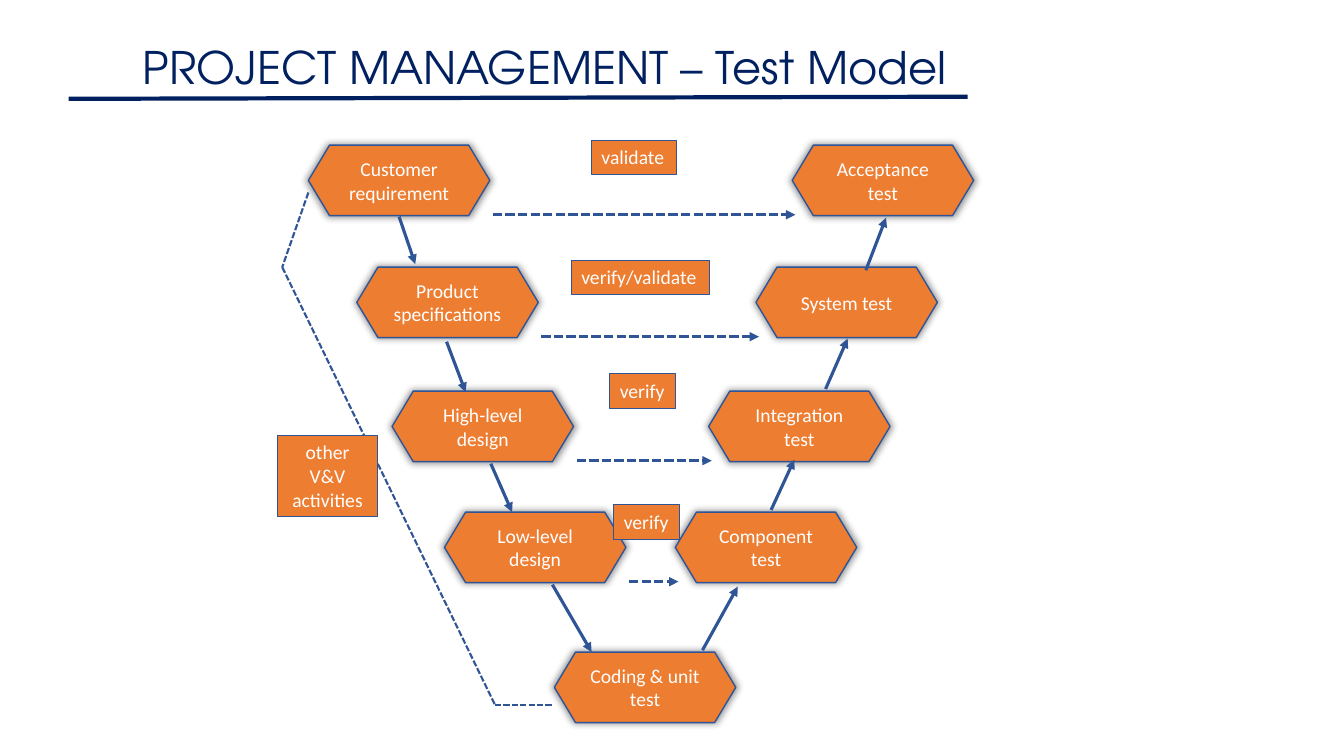
from dataclasses import dataclass
from itertools import pairwise

import pptx
import pptx.dml.color
import pptx.enum.dml
import pptx.enum.shapes
import pptx.enum.text
import pptx.oxml
import pptx.oxml.ns
import pptx.util

Pt = pptx.util.Pt
SHAPE = pptx.enum.shapes.MSO_SHAPE
ALIGN = pptx.enum.text.PP_ALIGN
ANCHOR = pptx.enum.text.MSO_ANCHOR
AUTO_SIZE = pptx.enum.text.MSO_AUTO_SIZE
DASH = pptx.enum.dml.MSO_LINE.SQUARE_DOT

NAVY, BLUE, ORANGE, WHITE = "002060", "2F5597", "ED7D31", "FFFFFF"
HEX_W, HEX_H = 129.6, 50.4
LABEL_H = 24.5
ARROW_GAP, ARROW_DROP = 2.2, 49.7

NS = 'xmlns:a="http://schemas.openxmlformats.org/drawingml/2006/main"'
GLOW = (f'<a:outerShdw {NS} blurRad="63500" sx="102000" sy="102000" algn="ctr" rotWithShape="0">'
        '<a:prstClr val="black"><a:alpha val="40000"/></a:prstClr></a:outerShdw>')

Point = tuple[float, float]


@dataclass
class Box:
    text: str
    x: float
    y: float
    w: float
    h: float


@dataclass
class Level:
    """A design stage, the test that checks it, and the label between them."""
    y: float
    stage: str
    stage_x: float
    test: str
    test_x: float
    label: Box


LEVELS = [
    Level(103.7, "Customer requirement", 220.3, "Acceptance test", 565.9,
          Box("validate", 422.6, 100.1, 60.5, LABEL_H)),
    Level(190.8, "Product specifications", 254.9, "System test", 540,
          Box("verify/validate", 408.2, 185.8, 98.6, LABEL_H)),
    Level(279.4, "High-level design", 280.1, "Integration test", 506.2,
          Box("verify", 435.6, 267.1, 46.8, LABEL_H)),
    Level(365.8, "Low-level design", 317.5, "Component test", 482.4,
          Box("verify", 438.5, 360.7, 46.8, LABEL_H)),
]
CODING = Box("Coding & unit test", 396, 465.8, HEX_W, HEX_H)
OTHER = Box("other V&V activities", 198, 311, 72, 58.3)
TITLE = Box("PROJECT MANAGEMENT – Test Model", 95, 24.5, 596.2, 46.1)

STEPS: list[tuple[Point, Point]] = [
    ((285.1, 154.8), (296.6, 188.6)),
    ((319, 244.1), (332.6, 280.1)),
    ((350.6, 331.2), (365.8, 365.8)),
    ((394.6, 417.6), (422.6, 465.8)),
    ((501.8, 464.4), (527, 419)),
    ((550.8, 364.3), (567.4, 328.3)),
    ((589.7, 277.9), (605.5, 241.9)),
    ((618.5, 193), (632.9, 155.5)),
]
BYPASS: list[Point] = [(220.3, 137.5), (201.6, 190.8), (353.5, 503.3), (394.6, 503.3)]


def rgb(value: str) -> pptx.dml.color.RGBColor:
    return pptx.dml.color.RGBColor.from_string(value)


def set_all(target, values: dict) -> None:
    for name, value in values.items():
        setattr(target, name, value)


def write(sp, text: str, frame: dict, align=ALIGN.CENTER, size: float = 14,
          font: str = "Calibri", color: str = WHITE) -> None:
    tf = sp.text_frame
    set_all(tf, frame)
    p = tf.paragraphs[0]
    p.alignment = align
    r = p.add_run()
    r.text = text
    set_all(r.font, {"size": Pt(size), "name": font})
    r.font.color.rgb = rgb(color)


def add_filled(s, kind, box: Box, line_width: float):
    sp = s.shapes.add_shape(kind, Pt(box.x), Pt(box.y), Pt(box.w), Pt(box.h))
    sp.shadow.inherit = False
    sp.fill.solid()
    sp.fill.fore_color.rgb = rgb(ORANGE)
    sp.line.color.rgb = rgb(BLUE)
    sp.line.width = Pt(line_width)
    return sp


def add_hexagon(s, box: Box) -> None:
    sp = add_filled(s, SHAPE.HEXAGON, box, 1)
    sp.adjustments[0] = 0.3
    effects = sp._element.spPr.find(pptx.oxml.ns.qn("a:effectLst"))
    effects.append(pptx.oxml.parse_xml(GLOW))
    write(sp, box.text, {"word_wrap": True, "vertical_anchor": ANCHOR.MIDDLE})


def add_label(s, box: Box, wrap: bool = False) -> None:
    sp = add_filled(s, SHAPE.RECTANGLE, box, 0.75)
    frame = {"word_wrap": wrap, "auto_size": AUTO_SIZE.SHAPE_TO_FIT_TEXT,
             "vertical_anchor": ANCHOR.TOP}
    write(sp, box.text, frame, ALIGN.CENTER if wrap else ALIGN.LEFT)


def add_line(s, start: Point, end: Point, width: float = 2.25, color: str = BLUE,
             dashed: bool = False, arrow: bool = True) -> None:
    cx = s.shapes.add_connector(pptx.enum.shapes.MSO_CONNECTOR.STRAIGHT,
                                *(Pt(v) for v in (*start, *end)))
    cx.line.color.rgb = rgb(color)
    cx.line.width = Pt(width)
    if dashed:
        cx.line.dash_style = DASH
    if arrow:
        cx.line._get_or_add_ln().append(
            pptx.oxml.parse_xml(f'<a:tailEnd {NS} type="triangle"/>'))
    cx._element.spPr.append(pptx.oxml.parse_xml(f"<a:effectLst {NS}/>"))


def add_title(s) -> None:
    sp = s.shapes.add_textbox(Pt(TITLE.x), Pt(TITLE.y), Pt(TITLE.w), Pt(TITLE.h))
    frame = {"word_wrap": False, "auto_size": AUTO_SIZE.SHAPE_TO_FIT_TEXT}
    write(sp, TITLE.text, frame, ALIGN.LEFT, 32, "TeX Gyre Adventor", NAVY)
    add_line(s, (49, 70.6), (691.2, 69.1), 3, NAVY, arrow=False)


def main() -> None:
    prs = pptx.Presentation()
    set_all(prs, {"slide_width": Pt(960), "slide_height": Pt(540)})
    s = prs.slides.add_slide(prs.slide_layouts[6])

    for level in LEVELS:
        add_hexagon(s, Box(level.stage, level.stage_x, level.y, HEX_W, HEX_H))
        add_hexagon(s, Box(level.test, level.test_x, level.y, HEX_W, HEX_H))
    add_hexagon(s, CODING)

    for start, end in STEPS:
        add_line(s, start, end)

    for level in LEVELS:
        y = level.y + ARROW_DROP
        add_line(s, (level.stage_x + HEX_W + ARROW_GAP, y),
                 (level.test_x + ARROW_GAP, y), dashed=True)
        add_label(s, level.label)

    for start, end in pairwise(BYPASS):
        add_line(s, start, end, 1.5, dashed=True, arrow=False)
    add_label(s, OTHER, wrap=True)

    add_title(s)
    prs.save("out.pptx")


if __name__ == "__main__":
    main()
